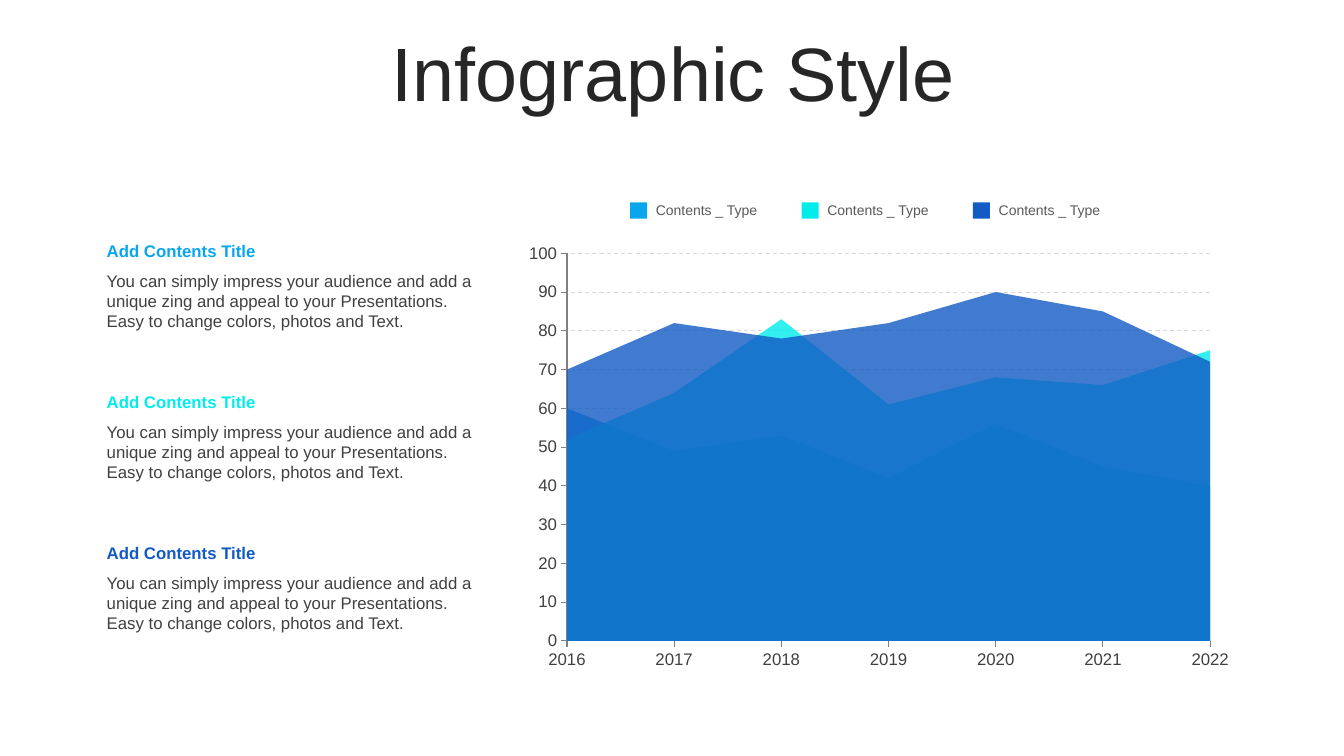
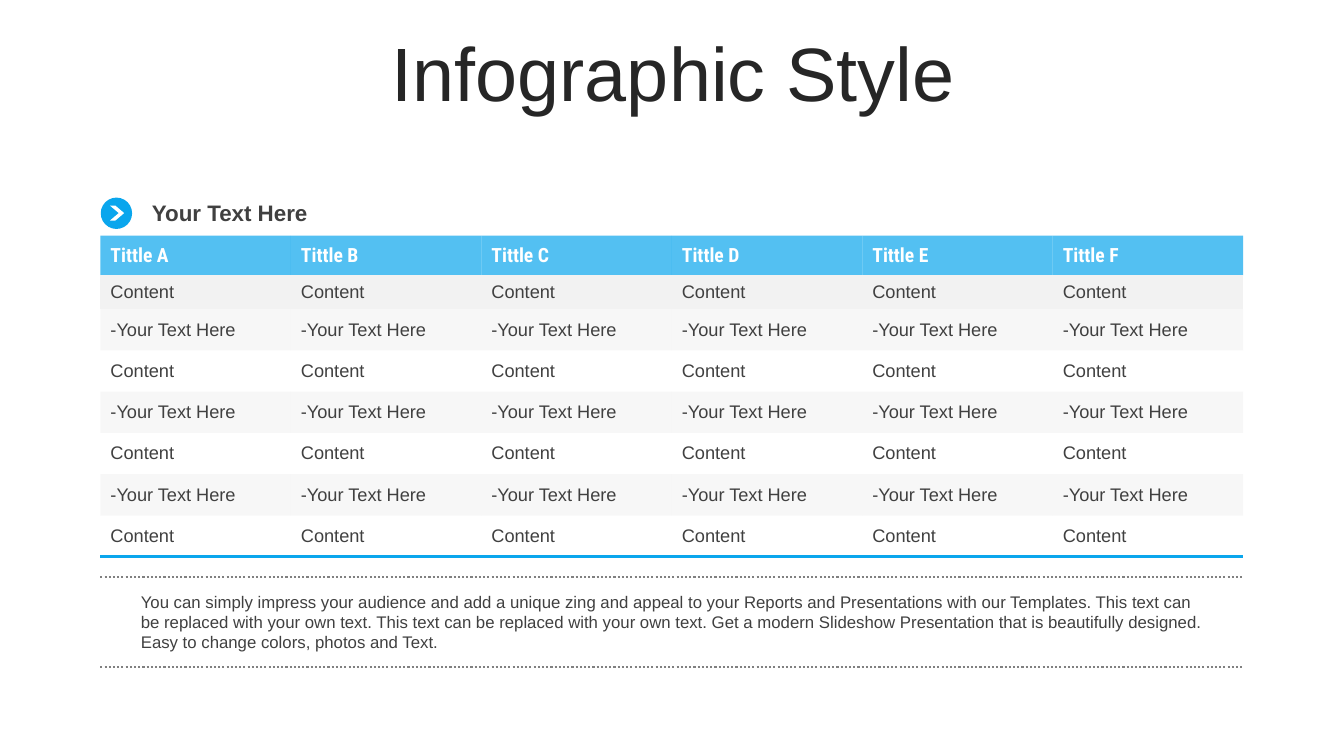
from dataclasses import dataclass

from lxml import etree
from pptx import Presentation
from pptx.chart import data
from pptx.dml.color import RGBColor
from pptx.enum import chart as ch, dml, shapes, text
from pptx.oxml.ns import qn
from pptx.util import Cm, Pt


@dataclass(frozen=True)
class Theme:
    sky: str = "0AA6ED"
    aqua: str = "02ECEC"
    navy: str = "125AC4"
    ink: str = "262626"
    body: str = "404040"
    label: str = "595959"
    rule: str = "808080"
    pale: str = "D9D9D9"
    light: str = "F2F2F2"
    white: str = "FFFFFF"
    font: str = "Arial"
    head: str = "Roboto Condensed"
    huge: int = 54
    large: int = 16
    top: int = 14
    cell: int = 13
    base: int = 12
    small: int = 10


T = Theme()
HUES = (T.sky, T.aqua, T.navy)
BLURB = ("You can simply impress your audience and add a unique zing and appeal "
         "to your Presentations. Easy to change colors, photos and Text.")
NOTE = ("You can simply impress your audience and add a unique zing and appeal "
        "to your Reports and Presentations with our Templates. This text can be "
        "replaced with your own text. This text can be replaced with your own "
        "text. Get a modern Slideshow Presentation that is beautifully "
        "designed. Easy to change colors, photos and Text.")


# Shared helpers
def rgb(hue):
    return RGBColor.from_string(hue)


def style(font, size, hue, bold=False, name=T.font):
    font.size, font.bold, font.name = Pt(size), bold, name
    font.color.rgb = rgb(hue)


def fade(node, part):
    """Make the first colour in node translucent; part is a percentage."""
    clr = next(node.iter(qn("a:srgbClr")))
    etree.SubElement(clr, qn("a:alpha"), val=str(part * 1000))


def add_run(para, words, *look, **more):
    run = para.add_run()
    run.text = words
    style(run.font, *look, **more)


def add_text(slide, box, words, size, hue, bold=False, mid=False):
    frame = slide.shapes.add_textbox(*map(Cm, box)).text_frame
    frame.word_wrap = True
    if mid:
        frame.vertical_anchor = text.MSO_ANCHOR.MIDDLE
    para = frame.paragraphs[0]
    add_run(para, words, size, hue, bold)
    return para


def add_form(slide, kind, box, hue):
    form = slide.shapes.add_shape(kind, *map(Cm, box))
    form.shadow.inherit = False
    form.fill.solid()
    form.fill.fore_color.rgb = rgb(hue)
    form.line.fill.background()
    return form


def add_rule(slide, y):
    line = slide.shapes.add_connector(
        shapes.MSO_CONNECTOR.STRAIGHT, Cm(2.53), Cm(y), Cm(31.34), Cm(y))
    line.line.color.rgb = rgb(T.rule)
    line.line.width = Pt(1.5)
    line.line.dash_style = dml.MSO_LINE.ROUND_DOT
    etree.SubElement(line.element.spPr, qn("a:effectLst"))


def new_slide(deck):
    slide = deck.slides.add_slide(deck.slide_layouts[6])
    para = add_text(slide, (0.89, 0.94, 32.16, 2), "Infographic Style",
                    T.huge, T.ink, mid=True)
    para.alignment = text.PP_ALIGN.CENTER
    para.line_spacing = 0.9
    return slide


# Chart slide
def set_axis(axis):
    style(axis.tick_labels.font, T.base, T.body)
    axis.major_tick_mark = ch.XL_TICK_MARK.OUTSIDE
    axis.minor_tick_mark = ch.XL_TICK_MARK.NONE
    axis.format.line.color.rgb = rgb(T.rule)
    axis.format.line.width = Pt(0.75)


def set_plot(chart, **area):
    """Fix the inner plot area, in fractions of the chart."""
    plot = next(chart._chartSpace.iter(qn("c:plotArea")))
    for old in plot.findall(qn("c:layout")):
        plot.remove(old)
    layout = etree.Element(qn("c:layout"))
    manual = etree.SubElement(layout, qn("c:manualLayout"))
    vals = {"layoutTarget": "inner", "xMode": "edge", "yMode": "edge", **area}
    for tag, val in vals.items():
        etree.SubElement(manual, qn("c:" + tag), val=str(val))
    plot.insert(0, layout)
    # Let the areas start on the value axis
    for cross in plot.iter(qn("c:crossBetween")):
        cross.set("val", "midCat")


def add_areas(slide):
    info = data.CategoryChartData()
    info.categories = [str(year) for year in range(2016, 2023)]
    rows = ((70, 82, 78, 82, 90, 85, 72),
            (52, 64, 83, 61, 68, 66, 75),
            (60, 49, 53, 42, 56, 45, 40))
    for num, vals in enumerate(rows, 1):
        info.add_series(f"Series {num}", vals)
    chart = slide.shapes.add_chart(
        ch.XL_CHART_TYPE.AREA, Cm(13), Cm(5.94), Cm(18.42), Cm(11.1), info).chart
    chart.has_legend = chart.has_title = False
    style(chart.font, T.base, T.body)
    plot = chart.plots[0]
    plot.vary_by_categories = False
    for ser, hue in zip(plot.series, reversed(HUES)):
        ser.format.fill.solid()
        ser.format.fill.fore_color.rgb = rgb(hue)
        fade(ser._element, 80)
        ser.format.line.fill.background()
    # Axes and grid
    set_axis(chart.category_axis)
    axis = chart.value_axis
    set_axis(axis)
    axis.minimum_scale, axis.maximum_scale, axis.major_unit = 0, 100, 10
    axis.has_major_gridlines = True
    grid = axis.major_gridlines.format.line
    grid.color.rgb = rgb(T.pale)
    grid.width = Pt(0.75)
    grid.dash_style = dml.MSO_LINE.DASH
    set_plot(chart, x=0.07, y=0.04, w=0.88, h=0.88)


def chart_slide(deck):
    slide = new_slide(deck)
    add_areas(slide)
    for num, hue in enumerate(HUES):
        # Legend entry
        x = 15.88 + num * 4.32
        add_form(slide, shapes.MSO_SHAPE.RECTANGLE, (x, 5.1, 0.43, 0.41), hue)
        add_text(slide, (x + 0.4, 4.95, 3.63, 0.69), "Contents _ Type",
                 T.small, T.label, mid=True)
        # Titled blurb
        y = 5.94 + num * 3.8
        add_text(slide, (2.44, y, 9.88, 0.76), "Add Contents Title",
                 T.base, hue, bold=True)
        add_text(slide, (2.44, y + 0.76, 9.88, 1.8), BLURB, T.base, T.body)


# Table slide
def fill_cell(cell, words, look, hue, part=100):
    cell.vertical_anchor = text.MSO_ANCHOR.MIDDLE
    add_run(cell.text_frame.paragraphs[0], words, **look)
    if hue is None:
        cell.fill.background()
        return
    cell.fill.solid()
    cell.fill.fore_color.rgb = rgb(hue)
    if part < 100:
        fade(cell._tc.tcPr, part)


def base_line(cell):
    line = etree.Element(qn("a:lnB"), w=str(Pt(2.25)))
    fill = etree.SubElement(line, qn("a:solidFill"))
    etree.SubElement(fill, qn("a:srgbClr"), val=T.sky)
    cell._tc.tcPr.insert(0, line)


def add_grid(slide):
    high = [0.99, 0.86] + [1.04] * 6
    frame = slide.shapes.add_table(
        len(high), 6, Cm(2.53), Cm(5.94), Cm(28.8), Cm(sum(high)))
    table = frame.table
    table.first_row = table.horz_banding = False
    # Plain style without grid lines
    plain = "{2D5ABB26-0587-4C30-8999-92F81FD0307C}"
    next(frame.element.iter(qn("a:tableStyleId"))).text = plain
    head = dict(size=T.top, hue=T.white, bold=True, name=T.head)
    body = dict(size=T.cell, hue=T.body)
    for row, tall in zip(table.rows, high):
        row.height = Cm(tall)
    for col, mark in enumerate("ABCDEF"):
        fill_cell(table.cell(0, col), f"Tittle {mark}", head, T.sky, 70)
        fill_cell(table.cell(1, col), "Content", body, T.light)
        for row in range(2, len(high)):
            if row % 2:
                fill_cell(table.cell(row, col), "Content", body, None)
            else:
                fill_cell(table.cell(row, col), "-Your Text Here", body, T.pale, 20)
        base_line(table.cell(len(high) - 1, col))


def table_slide(deck):
    slide = new_slide(deck)
    add_grid(slide)
    # Note between dotted rules
    add_text(slide, (3.3, 14.78, 27.3, 1.8), NOTE, T.base, T.body)
    for y in (14.55, 16.81):
        add_rule(slide, y)
    # Heading with arrow badge
    add_text(slide, (3.58, 4.9, 7.67, 0.94), "Your Text Here",
             T.large, T.body, bold=True)
    add_form(slide, shapes.MSO_SHAPE.OVAL, (2.54, 4.98, 0.79, 0.79), T.sky)
    arrow = add_form(slide, shapes.MSO_SHAPE.CHEVRON,
                     (2.77, 5.18, 0.36, 0.38), T.white)
    arrow.adjustments[0] = 0.62


def main():
    deck = Presentation()
    deck.slide_width, deck.slide_height = Cm(33.87), Cm(19.05)
    chart_slide(deck)
    table_slide(deck)
    deck.save("out.pptx")


if __name__ == "__main__":
    main()
